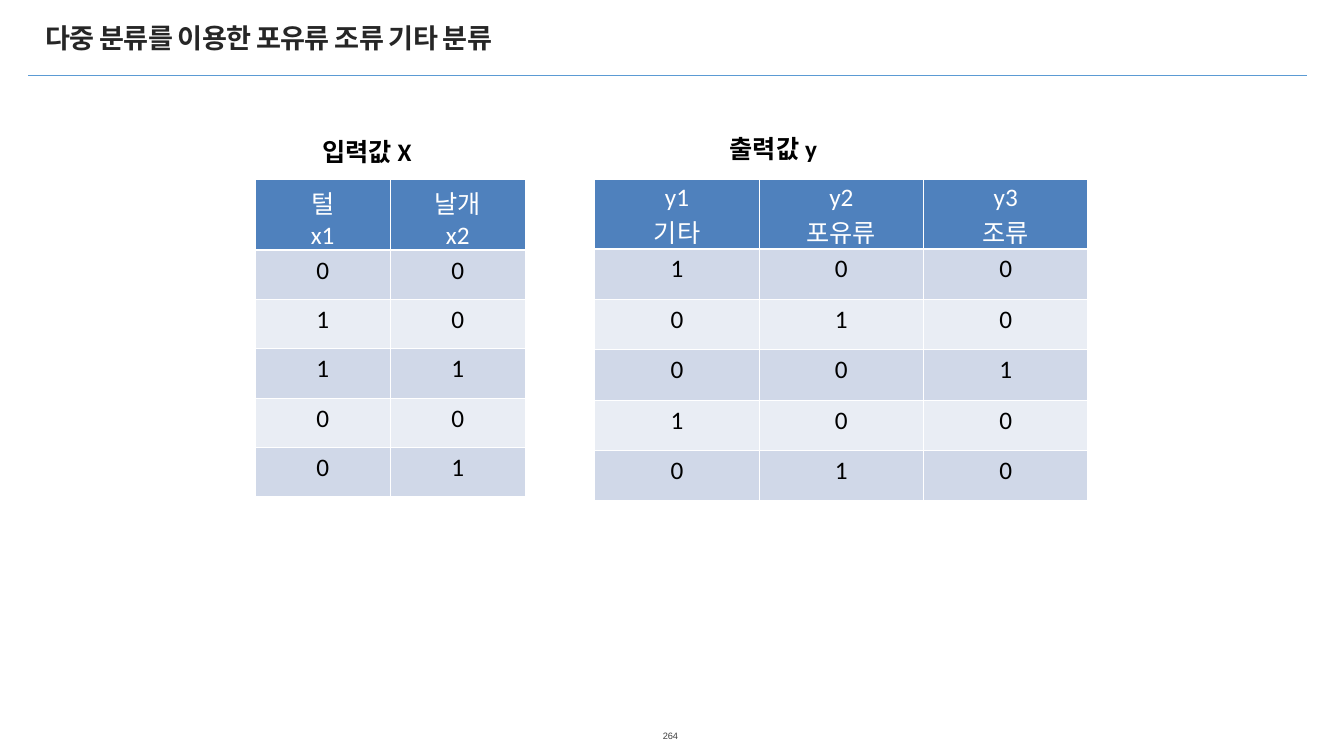
from lxml.etree import SubElement
from pptx import Presentation
from pptx.dml.color import RGBColor
from pptx.enum.shapes import MSO_CONNECTOR as Connector
from pptx.enum.text import MSO_ANCHOR as Anchor, PP_ALIGN as Align
from pptx.oxml.ns import qn
from pptx.util import Inches, Pt

KOREAN = "Noto Sans CJK KR"
LATIN = "Calibri"
HEADER_FILL = "4F81BD"
BAND_FILLS = ("D0D8E8", "E9EDF4")

TITLE = "다중 분류를 이용한 포유류 조류 기타 분류"
PAGE_NUMBER = "264"
INPUT = {
    "caption": "입력값 X", "caption_at": (3.1, 1.3, 1.16, 0.4),
    "left": 2.53, "column": 1.34, "header": 0.69, "row": 0.49,
    "header_margins": (0.05, 0.05),
    "rows": [("털\nx1", "날개\nx2"),
             (0, 0), (1, 0), (1, 1), (0, 0), (0, 1)],
}
OUTPUT = {
    "caption": "출력값 y", "caption_at": (7.14, 1.27, 1.14, 0.4),
    "left": 5.9, "column": 1.63, "header": 0.69, "row": 0.5,
    "header_margins": (0.03, 0),
    "rows": [("y1\n기타", "y2\n포유류", "y3\n조류"),
             (1, 0, 0), (0, 1, 0), (0, 0, 1), (1, 0, 0), (0, 1, 0)],
}
TABLE_TOP = 1.78


def rgb(color):
    return RGBColor.from_string(color)


def write(frame, text, size, color, font=LATIN, bold=False, align=Align.LEFT):
    frame.text = text
    for paragraph in frame.paragraphs:
        paragraph.alignment = align
        paragraph.font.size = Pt(size)
        paragraph.font.bold = bold
        paragraph.font.name = font
        paragraph.font.color.rgb = rgb(color)
        defaults = paragraph._p.pPr.find(qn("a:defRPr"))
        SubElement(defaults, qn("a:ea"), typeface=KOREAN)


def add_text(slide, at, text, size, color, wrap=False, margins=(0.1, 0.05),
             anchor=Anchor.TOP, **style):
    frame = slide.shapes.add_textbox(*map(Inches, at)).text_frame
    frame.word_wrap = wrap
    frame.vertical_anchor = anchor
    frame.margin_left = frame.margin_right = Inches(margins[0])
    frame.margin_top = frame.margin_bottom = Inches(margins[1])
    write(frame, text, size, color, **style)
    return frame


def add_borders(cell):
    """Draw white one-point lines on all four sides of the cell."""
    properties = cell._tc.get_or_add_tcPr()
    for position, side in enumerate(("lnL", "lnR", "lnT", "lnB")):
        line = SubElement(properties, qn(f"a:{side}"), w=str(Pt(1)))
        fill = SubElement(line, qn("a:solidFill"))
        SubElement(fill, qn("a:srgbClr"), val="FFFFFF")
        properties.insert(position, line)


def add_values(slide, part):
    """Add one captioned table of values."""
    rows = part["rows"]
    heights = [part["header"]] + [part["row"]] * (len(rows) - 1)
    columns = len(rows[0])
    table = slide.shapes.add_table(
        len(rows), columns, Inches(part["left"]), Inches(TABLE_TOP),
        Inches(columns * part["column"]), Inches(sum(heights))).table
    for column in table.columns:
        column.width = Inches(part["column"])
    for r, (values, height) in enumerate(zip(rows, heights)):
        table.rows[r].height = Inches(height)
        for c, value in enumerate(values):
            cell = table.cell(r, c)
            cell.fill.solid()
            cell.fill.fore_color.rgb = rgb(BAND_FILLS[(r - 1) % 2] if r else HEADER_FILL)
            if r == 0:
                cell.margin_top, cell.margin_bottom = map(Inches, part["header_margins"])
            write(cell.text_frame, str(value), 18,
                  "000000" if r else "FFFFFF", align=Align.CENTER)
            add_borders(cell)
    add_text(slide, part["caption_at"], part["caption"], 18, "000000", bold=True)


def main():
    presentation = Presentation()
    presentation.slide_width = Inches(13.33)
    presentation.slide_height = Inches(7.5)
    slide = presentation.slides.add_slide(presentation.slide_layouts[6])

    rule = slide.shapes.add_connector(
        Connector.STRAIGHT, Inches(0.28), Inches(0.75), Inches(12.96), Inches(0.75))
    rule.line.color.rgb = rgb("5B9BD4")
    rule.line.width = Pt(0.5)
    SubElement(rule._element.spPr, qn("a:effectLst"))

    add_text(slide, (6.37, 7.24, 0.56, 0.12), PAGE_NUMBER, 6.6, "404040",
             margins=(0, 0), anchor=Anchor.MIDDLE, font="Arial", align=Align.CENTER)
    title = add_text(slide, (0.41, 0.13, 12, 0.49), TITLE, 19.4, "262626", wrap=True,
                     margins=(0.04, 0.08), anchor=Anchor.MIDDLE, font=KOREAN, bold=True)
    title.paragraphs[0]._p.pPr.find(qn("a:defRPr")).set("spc", "-50")

    for part in (INPUT, OUTPUT):
        add_values(slide, part)
    presentation.save("out.pptx")


if __name__ == "__main__":
    main()
